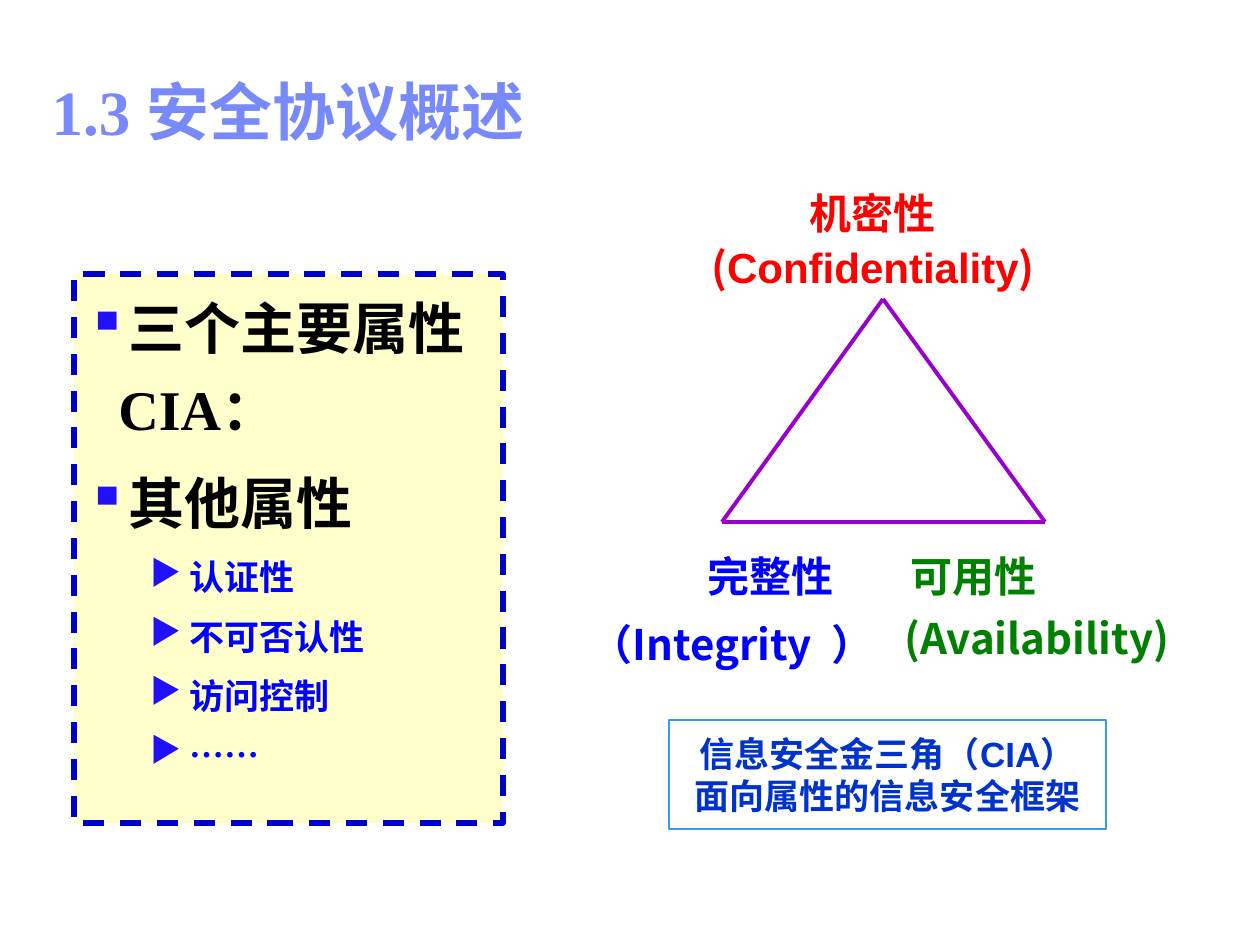
"""Build the slide on security protocol attributes and the CIA triangle."""
from lxml.etree import SubElement
from pptx import Presentation
from pptx.dml.color import RGBColor
from pptx.enum.dml import MSO_LINE
from pptx.enum.shapes import MSO_CONNECTOR, MSO_SHAPE
from pptx.enum.text import MSO_ANCHOR, PP_ALIGN
from pptx.oxml.ns import qn
from pptx.util import Pt

SCALE = 914400 / 126
COLORS = {
    "title": "7889FB", "card": "FFFFCC", "border": "0000CC", "bullet": "2110FC",
    "black": "000000", "blue": "0000FF", "red": "FF0000", "green": "008000",
    "triangle": "9900CC", "caption": "0033CC", "caption_line": "3399FF",
}
CJK, SERIF, SANS = "Noto Sans CJK SC", "Times New Roman", "Arial"


def px(*lengths):
    return [round(length * SCALE) for length in lengths]


def add_run(paragraph, text, size, font, color):
    run = paragraph.add_run()
    run.text = text
    run.font.size = Pt(size)
    run.font.bold = True
    run.font.name = font
    run.font.color.rgb = RGBColor.from_string(COLORS[color])
    SubElement(run.font._element, qn("a:ea"), typeface=CJK)


presentation = Presentation()
presentation.slide_width, presentation.slide_height = px(1260, 945)
slide = presentation.slides.add_slide(presentation.slide_layouts[5])

title = slide.shapes.title
title.left, title.top, title.width, title.height = px(39, 73, 1137, 84)
title.text_frame.vertical_anchor = MSO_ANCHOR.MIDDLE
paragraph = title.text_frame.paragraphs[0]
paragraph.alignment = PP_ALIGN.LEFT
paragraph.line_spacing = 0.9
add_run(paragraph, "1.3 安全协议概述", 36, SERIF, "title")

card = slide.shapes.add_shape(MSO_SHAPE.RECTANGLE, *px(74, 274, 429, 549))
card.shadow.inherit = False
card.fill.solid()
card.fill.fore_color.rgb = RGBColor.from_string(COLORS["card"])
card.line.color.rgb = RGBColor.from_string(COLORS["border"])
card.line.width = Pt(3)
card.line.dash_style = MSO_LINE.DASH
card.text_frame.word_wrap = True
card.text_frame.vertical_anchor = MSO_ANCHOR.TOP

levels = [
    {"size": 32, "color": "black", "gap": 4, "bullet": "▪", "margin": 32, "hang": 32},
    {"size": 20, "color": "blue", "gap": 2.5, "bullet": "▶", "margin": 103, "hang": 39},
]
attributes = [
    (0, "三个主要属性CIA：", SERIF),
    (0, "其他属性", SERIF),
    (1, "认证性", SERIF),
    (1, "不可否认性", SERIF),
    (1, "访问控制", SERIF),
    (1, "……", CJK),
]
for index, (level, text, font) in enumerate(attributes):
    style = levels[level]
    paragraph = card.text_frame.paragraphs[0] if index == 0 else card.text_frame.add_paragraph()
    paragraph.level = level
    paragraph.alignment = PP_ALIGN.LEFT
    paragraph.line_spacing = 1.2
    paragraph.space_before = paragraph.space_after = Pt(style["gap"])
    margin, hang = px(style["margin"], style["hang"])
    properties = paragraph._p.get_or_add_pPr()
    properties.set("marL", str(margin))
    properties.set("indent", str(-hang))
    bullet_color = SubElement(properties, qn("a:buClr"))
    SubElement(bullet_color, qn("a:srgbClr"), val=COLORS["bullet"])
    SubElement(properties, qn("a:buChar"), char=style["bullet"])
    add_run(paragraph, text, style["size"], font, style["color"])

caption = slide.shapes.add_shape(MSO_SHAPE.RECTANGLE, *px(669, 720, 437, 109))
caption.shadow.inherit = False
caption.fill.background()
caption.line.color.rgb = RGBColor.from_string(COLORS["caption_line"])
caption.line.width = Pt(0.75)
caption.text_frame.word_wrap = False
caption.text_frame.vertical_anchor = MSO_ANCHOR.MIDDLE
for index, text in enumerate(["信息安全金三角（CIA）", "面向属性的信息安全框架"]):
    paragraph = caption.text_frame.paragraphs[0] if index == 0 else caption.text_frame.add_paragraph()
    paragraph.alignment = PP_ALIGN.CENTER
    add_run(paragraph, text, 20, SANS, "caption")

labels = [
    (873, 213, 340, "red", [("机密性", 24, CJK)]),
    (873, 267, 340, "red", [("(", 24, CJK), ("Confidentiality", 24, SANS), (")", 24, CJK)]),
    (771, 576, 140, "blue", [("完整性", 24, CJK)]),
    (974, 576, 140, "green", [("可用性", 24, CJK)]),
    (732, 632, 324, "blue", [("（Integrity", 24, CJK), (" ", 40, SANS), ("）", 24, CJK)]),
    (1037, 638, 280, "green", [("(Availability)", 24, CJK)]),
]
for center_x, center_y, width, color, runs in labels:
    label = slide.shapes.add_textbox(*px(center_x - width / 2, center_y - 30, width, 60))
    frame = label.text_frame
    frame.word_wrap = True
    frame.vertical_anchor = MSO_ANCHOR.MIDDLE
    frame.margin_left = frame.margin_right = frame.margin_top = frame.margin_bottom = 0
    frame.paragraphs[0].alignment = PP_ALIGN.CENTER
    for text, size, font in runs:
        add_run(frame.paragraphs[0], text, size, font, color)

apex, left_corner, right_corner = (883, 299), (722, 522), (1045, 522)
for start, end in [(apex, left_corner), (apex, right_corner), (left_corner, right_corner)]:
    side = slide.shapes.add_connector(MSO_CONNECTOR.STRAIGHT, *px(*start, *end))
    side.line.color.rgb = RGBColor.from_string(COLORS["triangle"])
    side.line.width = Pt(2.25)
    SubElement(side._element.spPr, qn("a:effectLst"))

presentation.save("out.pptx")
